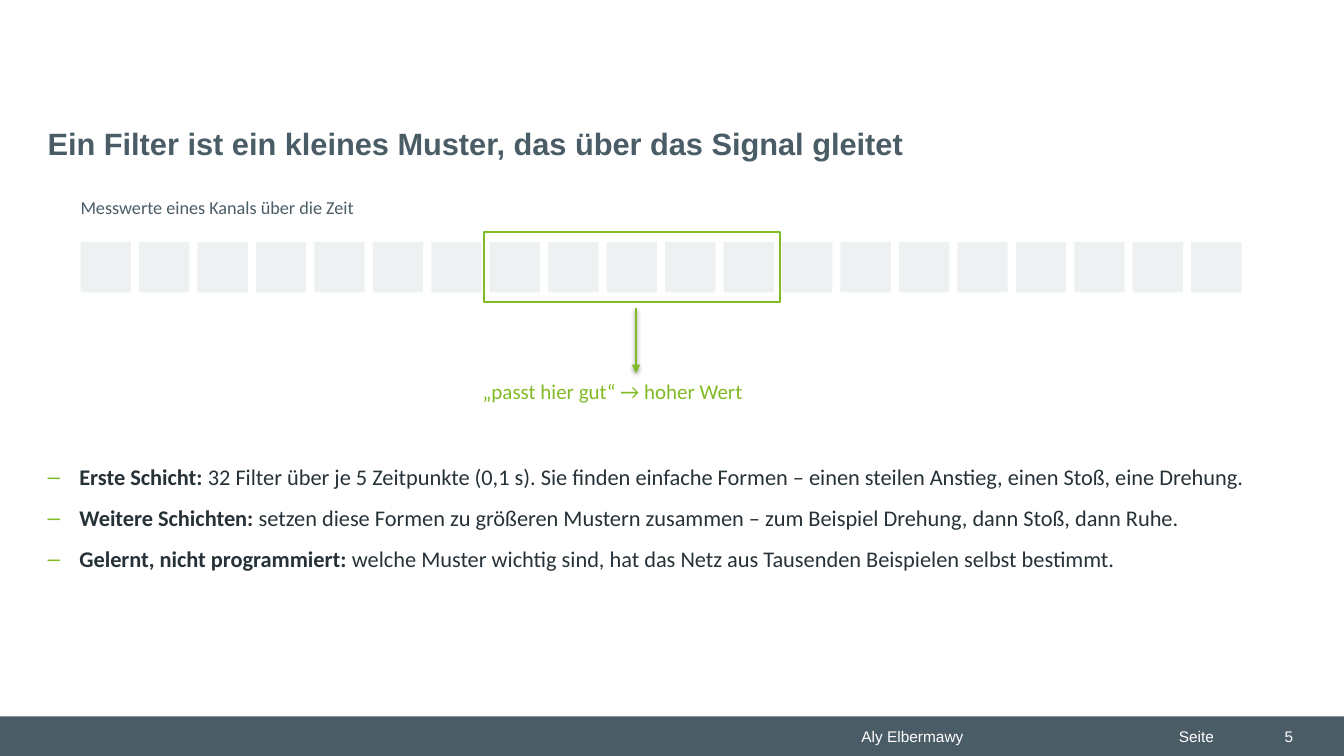
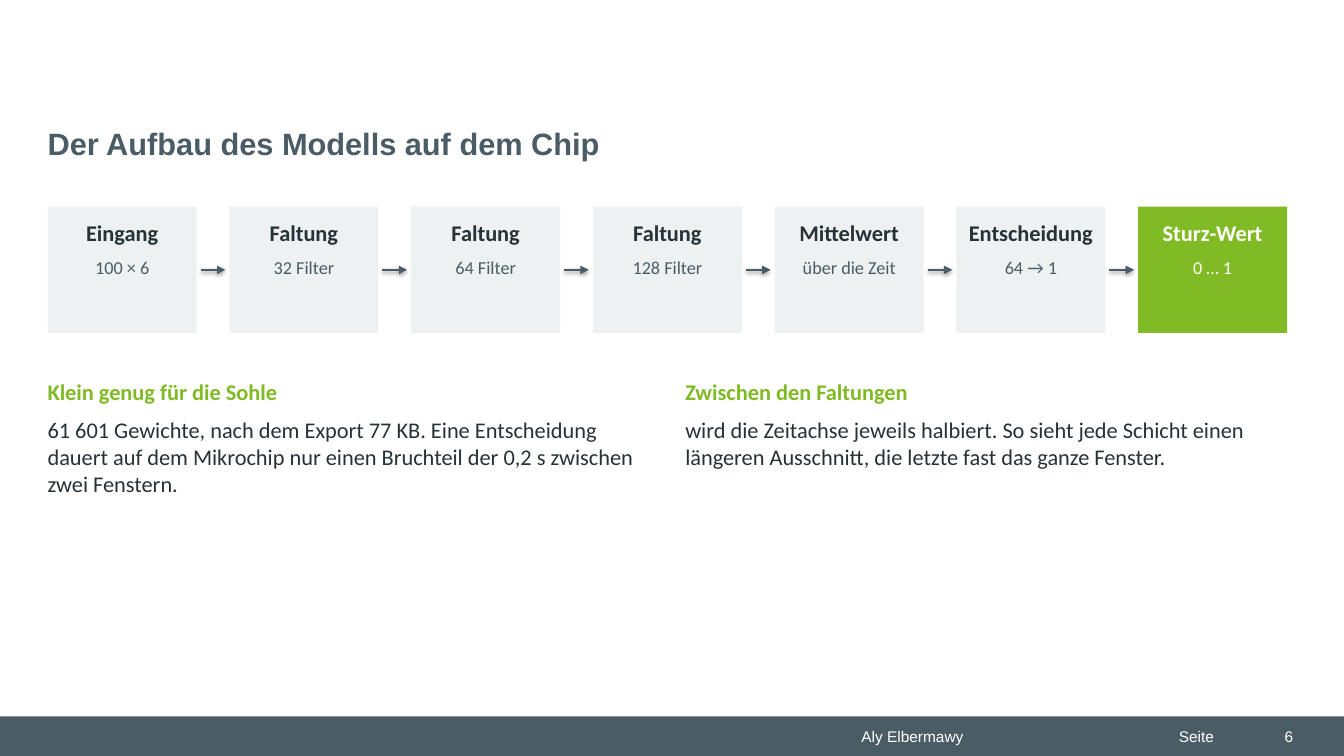
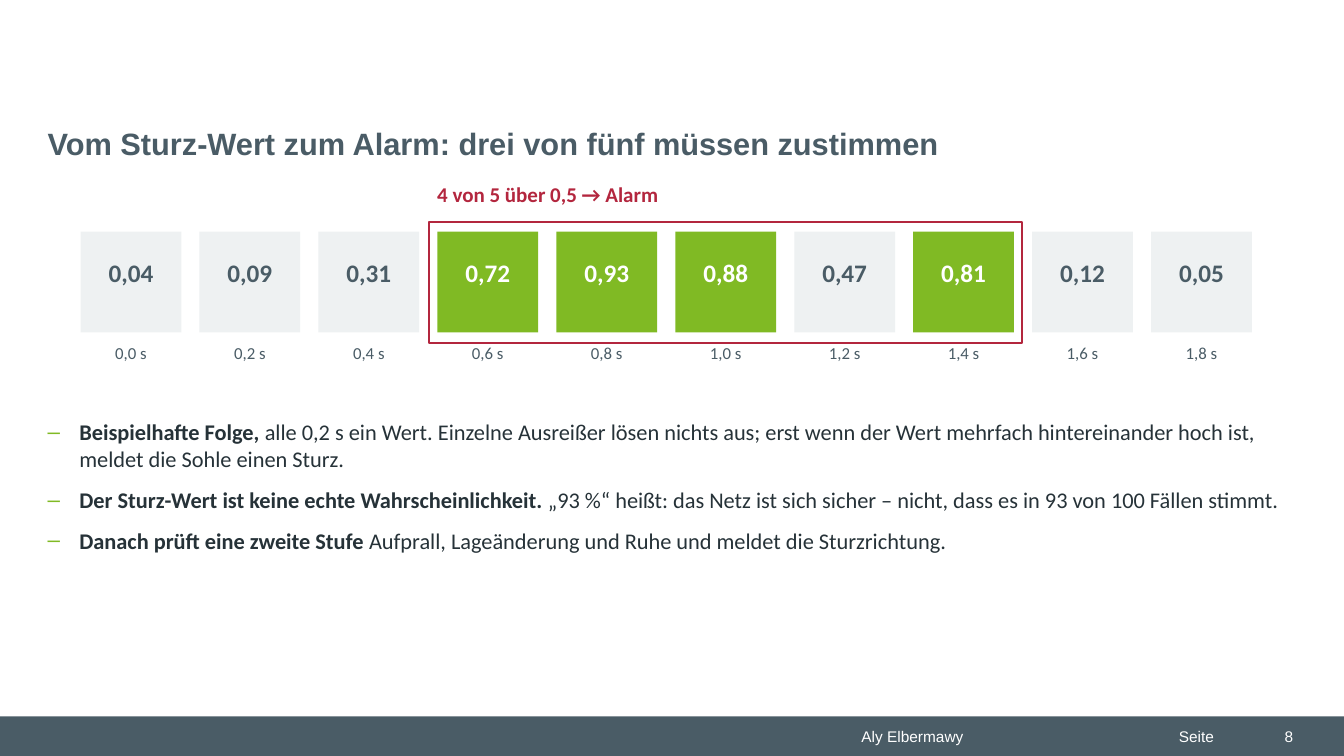
import lxml.etree
import pptx
import pptx.dml.color
import pptx.enum.shapes
import pptx.enum.text
import pptx.oxml.ns
import pptx.util
from pptx.util import Cm

SLATE, GREEN, PALE, INK, RED, WHITE = "4A5C66", "80BA24", "EEF1F2", "263238", "B3263E", "FFFFFF"
LEFT = pptx.enum.text.PP_ALIGN.LEFT
CENTER = pptx.enum.text.PP_ALIGN.CENTER
RIGHT = pptx.enum.text.PP_ALIGN.RIGHT
TITLE_AND_BODY, TITLE_ONLY = 1, 5
MARGIN = 1.2
ROW_LEFT = 2.03


def rgb(color):
    return pptx.dml.color.RGBColor.from_string(color)


def add_element(parent, tag, **attributes):
    return lxml.etree.SubElement(parent, pptx.oxml.ns.qn(tag), attributes)


def spread(left, right, count, width):
    pitch = (right - left - width) / (count - 1)
    return [left + index * pitch for index in range(count)]


class Deck:
    def __init__(self):
        self.presentation = pptx.Presentation()
        self.presentation.slide_width = Cm(33.87)
        self.presentation.slide_height = Cm(19.05)
        self.slide = None

    def start_slide(self, layout, title, number):
        self.slide = self.presentation.slides.add_slide(self.presentation.slide_layouts[layout])
        frame = self.place(self.slide.shapes.title, MARGIN, 3, 31.2, 1.6, (0, 0.13))
        self.paragraph(frame, title, 22, SLATE, bold=True, font="Arial")
        self.rectangle(0, 18.05, 33.87, 1, fill=SLATE)
        footers = ((21.46, 8, "Aly Elbermawy", LEFT), (29.46, 2.13, "Seite", LEFT), (31.06, 1.78, number, RIGHT))
        for left, width, text, align in footers:
            frame = self.text_box(left, 18.19, width, 0.74, (0.25, 0.13))
            self.paragraph(frame, text, 11, WHITE, align=align, font="Arial")

    def place(self, shape, left, top, width, height, insets=(0, 0)):
        shape.left, shape.top, shape.width, shape.height = Cm(left), Cm(top), Cm(width), Cm(height)
        return self.prepare(shape.text_frame, insets)

    def prepare(self, frame, insets):
        frame.word_wrap = True
        frame.auto_size = pptx.enum.text.MSO_AUTO_SIZE.NONE
        frame.vertical_anchor = pptx.enum.text.MSO_ANCHOR.TOP
        frame.margin_left = frame.margin_right = Cm(insets[0])
        frame.margin_top = frame.margin_bottom = Cm(insets[1])
        return frame

    def text_box(self, left, top, width, height, insets=(0, 0)):
        box = self.slide.shapes.add_textbox(Cm(left), Cm(top), Cm(width), Cm(height))
        return self.prepare(box.text_frame, insets)

    def paragraph(self, frame, text, size, color, bold=False, align=LEFT, after=0, font="Calibri"):
        paragraph = frame.paragraphs[0]
        if paragraph.runs:
            paragraph = frame.add_paragraph()
        paragraph.alignment = align
        paragraph.space_before = pptx.util.Pt(0)
        paragraph.space_after = pptx.util.Pt(after)
        paragraph.add_run().text = text
        self.style(paragraph, size, color, bold, font)

    def style(self, paragraph, size, color, bold, font="Calibri"):
        paragraph.font.name = font
        paragraph.font.size = pptx.util.Pt(size)
        paragraph.font.color.rgb = rgb(color)
        if bold is not None:
            paragraph.font.bold = bold

    def label(self, left, top, width, height, text, size, color, bold=False, align=LEFT):
        self.paragraph(self.text_box(left, top, width, height), text, size, color, bold, align)

    def bullets(self, top, height, items):
        frame = self.place(self.slide.placeholders[1], MARGIN, top, 31.24, height)
        for index, (lead, rest) in enumerate(items):
            paragraph = frame.add_paragraph() if index else frame.paragraphs[0]
            paragraph.space_before = pptx.util.Pt(0)
            paragraph.space_after = pptx.util.Pt(10)
            properties = paragraph._p.get_or_add_pPr()
            properties.set("marL", str(Cm(0.8)))
            properties.set("indent", str(-Cm(0.8)))
            add_element(add_element(properties, "a:buClr"), "a:srgbClr", val=GREEN)
            add_element(properties, "a:buChar", char="–")
            self.style(paragraph, 16, INK, None)
            for text, bold in ((lead, True), (rest, False)):
                run = paragraph.add_run()
                run.text = text
                run.font.bold = bold

    def rectangle(self, left, top, width, height, fill=None, line=None):
        shape = self.slide.shapes.add_shape(
            pptx.enum.shapes.MSO_SHAPE.RECTANGLE, Cm(left), Cm(top), Cm(width), Cm(height))
        shape.shadow.inherit = False
        if fill:
            shape.fill.solid()
            shape.fill.fore_color.rgb = rgb(fill)
        else:
            shape.fill.background()
        if line:
            shape.line.color.rgb = rgb(line)
            shape.line.width = pptx.util.Pt(1.25)
        else:
            shape.line.fill.background()
        return shape

    def arrow(self, start_x, start_y, end_x, end_y, color):
        connector = self.slide.shapes.add_connector(
            pptx.enum.shapes.MSO_CONNECTOR.STRAIGHT, Cm(start_x), Cm(start_y), Cm(end_x), Cm(end_y))
        connector.line.color.rgb = rgb(color)
        connector.line.width = pptx.util.Pt(1.75)
        add_element(connector.element.spPr.find(pptx.oxml.ns.qn("a:ln")), "a:tailEnd", type="triangle")


def filter_slide(deck):
    deck.start_slide(TITLE_AND_BODY, "Ein Filter ist ein kleines Muster, das über das Signal gleitet", "5")
    for left in spread(ROW_LEFT, 31.29, 20, 1.27):
        deck.rectangle(left, 6.1, 1.27, 1.27, fill=PALE)
    deck.rectangle(12.19, 5.84, 7.47, 1.78, line=GREEN)
    deck.arrow(16.03, 7.75, 16.03, 9.4, GREEN)
    deck.label(10.87, 9.53, 9.14, 1.52, "„passt hier gut“ → hoher Wert", 15, GREEN, align=CENTER)
    deck.label(ROW_LEFT, 4.95, 29.21, 1.02, "Messwerte eines Kanals über die Zeit", 13, SLATE)
    deck.bullets(11.68, 5.59, [
        ("Erste Schicht: ", "32 Filter über je 5 Zeitpunkte (0,1 s). Sie finden einfache Formen – "
                            "einen steilen Anstieg, einen Stoß, eine Drehung."),
        ("Weitere Schichten: ", "setzen diese Formen zu größeren Mustern zusammen – "
                                "zum Beispiel Drehung, dann Stoß, dann Ruhe."),
        ("Gelernt, nicht programmiert: ", "welche Muster wichtig sind, hat das Netz aus Tausenden "
                                          "Beispielen selbst bestimmt."),
    ])


def model_slide(deck):
    deck.start_slide(TITLE_ONLY, "Der Aufbau des Modells auf dem Chip", "6")
    stages = [("Eingang", "100 × 6"), ("Faltung", "32 Filter"), ("Faltung", "64 Filter"),
              ("Faltung", "128 Filter"), ("Mittelwert", "über die Zeit"),
              ("Entscheidung", "64 → 1"), ("Sturz-Wert", "0 … 1")]
    width, top, height = 3.76, 5.21, 3.18
    lefts = spread(MARGIN, 32.44, len(stages), width)
    for index, (left, (name, detail)) in enumerate(zip(lefts, stages)):
        last = index == len(stages) - 1
        box = deck.rectangle(left, top, width, height, fill=GREEN if last else PALE)
        frame = deck.prepare(box.text_frame, (0.2, 0.3))
        deck.paragraph(frame, name, 16, WHITE if last else INK, True, CENTER, after=8)
        deck.paragraph(frame, detail, 13, WHITE if last else SLATE, align=CENTER)
        if not last:
            middle = top + height / 2
            deck.arrow(left + width + 0.1, middle, lefts[index + 1] - 0.1, middle, SLATE)
    notes = [
        (MARGIN, 15.24, "Klein genug für die Sohle",
         "61 601 Gewichte, nach dem Export 77 KB. Eine Entscheidung dauert auf dem Mikrochip "
         "nur einen Bruchteil der 0,2 s zwischen zwei Fenstern."),
        (17.27, 15.11, "Zwischen den Faltungen",
         "wird die Zeitachse jeweils halbiert. So sieht jede Schicht einen längeren Ausschnitt, "
         "die letzte fast das ganze Fenster."),
    ]
    for left, width, heading, text in notes:
        frame = deck.text_box(left, 9.53, width, 7.62)
        deck.paragraph(frame, heading, 16, GREEN, True, after=8)
        deck.paragraph(frame, text, 16, INK, after=8)


def alarm_slide(deck):
    deck.start_slide(TITLE_AND_BODY, "Vom Sturz-Wert zum Alarm: drei von fünf müssen zustimmen", "8")
    scores = [0.04, 0.09, 0.31, 0.72, 0.93, 0.88, 0.47, 0.81, 0.12, 0.05]
    size = 2.54
    for index, (left, score) in enumerate(zip(spread(ROW_LEFT, 31.55, len(scores), size), scores)):
        high = score > 0.5
        box = deck.rectangle(left, 5.84, size, size, fill=GREEN if high else PALE)
        frame = deck.prepare(box.text_frame, (0, 0.64))
        deck.paragraph(frame, f"{score:.2f}".replace(".", ","), 18, WHITE if high else SLATE, True, CENTER)
        time = f"{index * 0.2:.1f} s".replace(".", ",")
        deck.label(left, 8.64, size, 0.76, time, 12, SLATE, align=CENTER)
    deck.rectangle(10.82, 5.59, 14.94, 3.05, line=RED)
    deck.label(11.02, 4.57, 14.73, 0.89, "4 von 5 über 0,5 → Alarm", 15, RED, True)
    deck.bullets(10.54, 6.6, [
        ("Beispielhafte Folge, ", "alle 0,2 s ein Wert. Einzelne Ausreißer lösen nichts aus; erst wenn "
                                  "der Wert mehrfach hintereinander hoch ist, meldet die Sohle einen Sturz."),
        ("Der Sturz-Wert ist keine echte Wahrscheinlichkeit. ",
         "„93 %“ heißt: das Netz ist sich sicher – nicht, dass es in 93 von 100 Fällen stimmt."),
        ("Danach prüft eine zweite Stufe ", "Aufprall, Lageänderung und Ruhe und meldet die Sturzrichtung."),
    ])


def main():
    deck = Deck()
    filter_slide(deck)
    model_slide(deck)
    alarm_slide(deck)
    deck.presentation.save("out.pptx")


if __name__ == "__main__":
    main()
